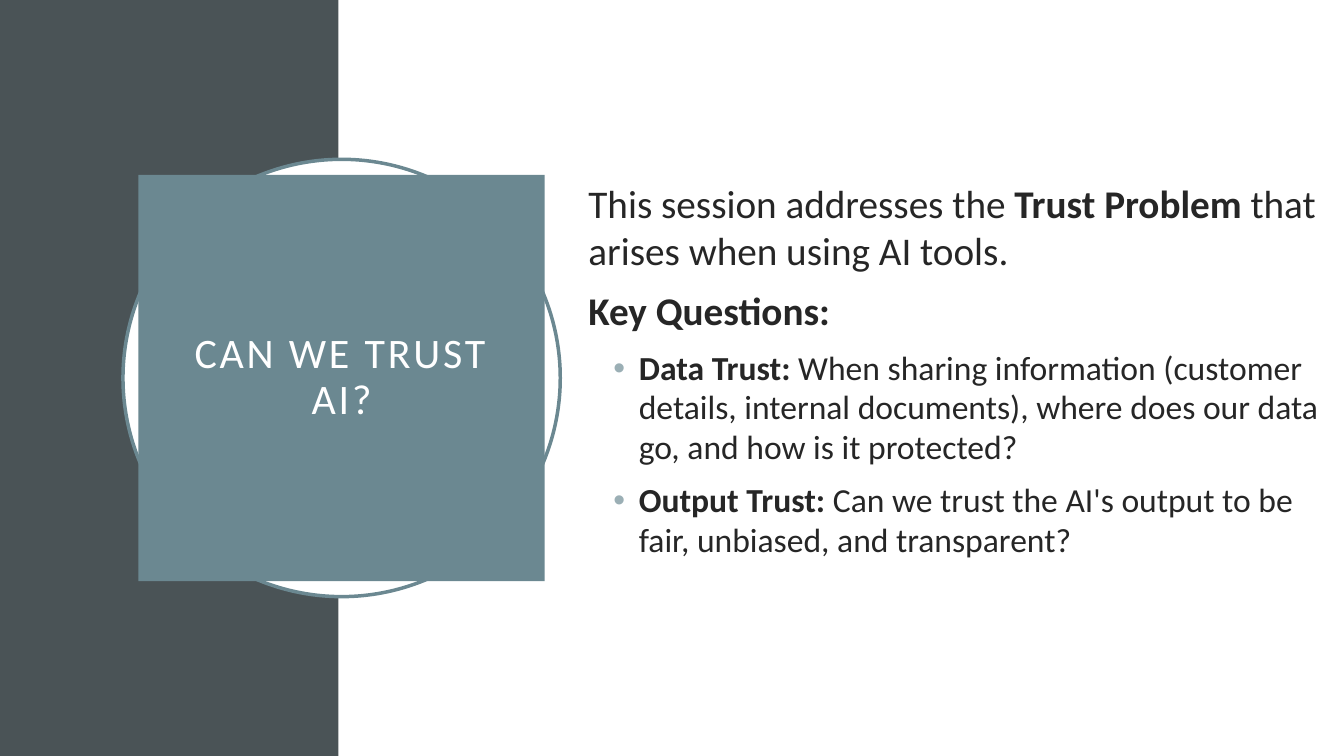
from pptx import Presentation
from pptx.dml.color import RGBColor
from pptx.enum import shapes, text
from pptx.oxml import parse_xml
from pptx.oxml.ns import nsdecls
from pptx.util import Cm, Pt

TITLE = "CAN WE TRUST AI?"
# Each paragraph: (is a bullet, [(words, is bold), ...])
BODY = [
    (False, [("This session addresses the ", False), ("Trust Problem", True),
             (" that arises when using AI tools.", False)]),
    (False, [("Key Questions:", True)]),
    (True, [("Data Trust:", True),
            (" When sharing information (customer details, internal documents), "
             "where does our data go, and how is it protected?", False)]),
    (True, [("Output Trust:", True),
            (" Can we trust the AI's output to be fair, unbiased, and transparent?", False)]),
]

FONT = "Calibri"
WHITE = RGBColor(0xFF, 0xFF, 0xFF)
SLATE = RGBColor(0x4A, 0x53, 0x56)
TEAL = RGBColor(0x6B, 0x88, 0x91)
INK = RGBColor(0x26, 0x26, 0x26)
BULLET_COLOR = "9BAFB5"

WIDTH, HEIGHT = Cm(33.87), Cm(19.05)
BAND_WIDTH = Cm(8.53)
BADGE_CENTER = Cm(8.61)
RING_SIZE, BADGE_SIZE = Cm(11.02), Cm(10.24)
TITLE_INSET = Cm(0.51)
BODY_LEFT, BODY_TOP, BODY_HEIGHT = Cm(14.58), Cm(0.46), Cm(17.78)


def add_filled(page, kind, left, top, width, height, fill, line=None):
    shape = page.shapes.add_shape(kind, left, top, width, height)
    shape.shadow.inherit = False
    shape.fill.solid()
    shape.fill.fore_color.rgb = fill
    if line is None:
        shape.line.fill.background()
    else:
        shape.line.color.rgb = line
        shape.line.width = Pt(2.5)
    return shape


def add_badge(page, kind, size, fill, line=None):
    """Add a square-sided shape centred on the badge position."""
    left, top = BADGE_CENTER - size // 2, (HEIGHT - size) // 2
    return add_filled(page, kind, left, top, size, size, fill, line)


def add_span(para, words, size, color, bold=False, spacing=None):
    span = para.add_run()
    span.text = words
    span.font.name = FONT
    span.font.size = Pt(size)
    span.font.bold = bold
    span.font.color.rgb = color
    if spacing is not None:
        span.font._element.set("spc", str(spacing * 100))


def add_bullet(para):
    properties = para._p.get_or_add_pPr()
    properties.set("marL", str(Cm(1.27)))
    properties.set("indent", str(-Cm(0.64)))
    properties.append(parse_xml(
        f'<a:buClr {nsdecls("a")}><a:srgbClr val="{BULLET_COLOR}"/></a:buClr>'))
    properties.append(parse_xml(f'<a:buFont {nsdecls("a")} typeface="Arial"/>'))
    properties.append(parse_xml(f'<a:buChar {nsdecls("a")} char="•"/>'))


def add_title(page):
    frame = add_badge(page, shapes.MSO_SHAPE.RECTANGLE, BADGE_SIZE, TEAL).text_frame
    frame.word_wrap = True
    frame.vertical_anchor = text.MSO_ANCHOR.MIDDLE
    frame.margin_left = frame.margin_right = TITLE_INSET
    frame.margin_top = frame.margin_bottom = TITLE_INSET
    para = frame.paragraphs[0]
    para.alignment = text.PP_ALIGN.CENTER
    para.line_spacing = 0.9
    add_span(para, TITLE, 30, WHITE, spacing=2)


def add_body(page):
    box = page.shapes.add_textbox(BODY_LEFT, BODY_TOP, WIDTH - BODY_LEFT, BODY_HEIGHT)
    frame = box.text_frame
    frame.word_wrap = True
    frame.vertical_anchor = text.MSO_ANCHOR.MIDDLE
    for index, (bulleted, spans) in enumerate(BODY):
        para = frame.add_paragraph() if index else frame.paragraphs[0]
        para.line_spacing = 0.98
        if index:
            para.space_before = Pt(10)
        if bulleted:
            para.level = 1
            add_bullet(para)
        for words, bold in spans:
            add_span(para, words, 24 if bulleted else 28, INK, bold)


def main():
    deck = Presentation()
    deck.slide_width, deck.slide_height = WIDTH, HEIGHT
    page = deck.slides.add_slide(deck.slide_layouts[6])
    page.background.fill.solid()
    page.background.fill.fore_color.rgb = WHITE
    add_filled(page, shapes.MSO_SHAPE.RECTANGLE, 0, 0, BAND_WIDTH, HEIGHT, SLATE)
    add_badge(page, shapes.MSO_SHAPE.OVAL, RING_SIZE, WHITE, TEAL)
    add_title(page)
    add_body(page)
    deck.save("out.pptx")


if __name__ == "__main__":
    main()
